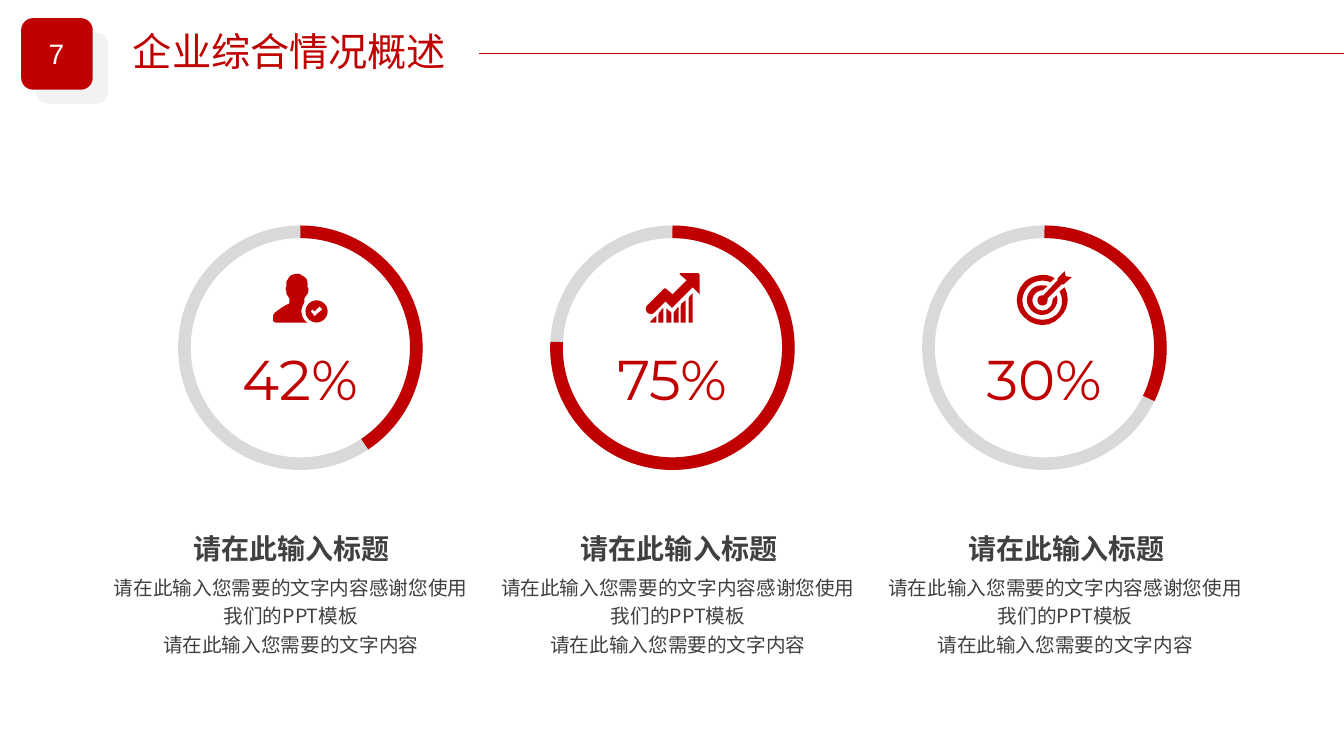
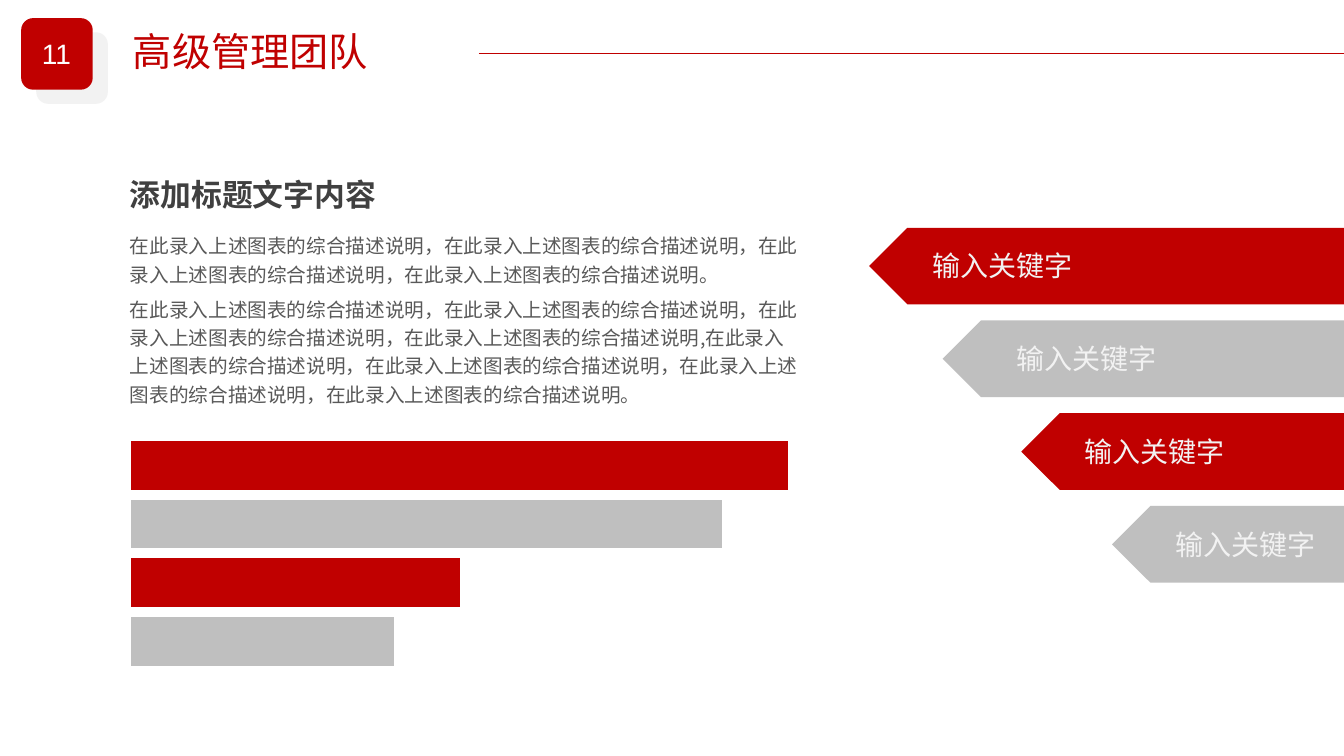
import dataclasses
import itertools

import lxml.etree
import pptx
import pptx.chart.data
import pptx.dml.color
import pptx.enum.chart
import pptx.enum.shapes
import pptx.enum.text
import pptx.oxml.ns
import pptx.util

Inches = pptx.util.Inches
Pt = pptx.util.Pt
RGB = pptx.dml.color.RGBColor
SHAPE = pptx.enum.shapes.MSO_SHAPE
ALIGN = pptx.enum.text.PP_ALIGN
qn = pptx.oxml.ns.qn


@dataclasses.dataclass(frozen=True)
class Theme:
    red: str = "C00000"
    white: str = "FFFFFF"
    pale: str = "F2F2F2"
    track: str = "D9D9D9"
    gray: str = "BFBFBF"
    dark: str = "404040"
    body: str = "595959"
    cjk: str = "Noto Sans CJK SC"
    latin: str = "Arial"
    figure: str = "Montserrat"
    figure_size: int = 40
    title_size: int = 28
    heading_size: int = 22
    label_size: int = 20
    body_size: int = 14
    chart_size: int = 10


T = Theme()


@dataclasses.dataclass(frozen=True)
class Style:
    size: int
    color: str
    font: str = T.cjk
    bold: bool = False
    align: ALIGN = ALIGN.LEFT
    wrap: bool = True
    line_spacing: float = 1.0
    space_after: int = 0


@dataclasses.dataclass(frozen=True)
class Ring:
    value: str
    end_angle: float
    icon_top: float
    icon: tuple[str, ...]


@dataclasses.dataclass(frozen=True)
class Tag:
    left: float
    text_left: float
    color: str


TITLE = Style(T.title_size, T.red, wrap=False)
NUMBER = Style(T.label_size, T.white, T.latin, align=ALIGN.CENTER, wrap=False)
FIGURE = Style(T.figure_size, T.red, T.figure, align=ALIGN.CENTER)
CAPTION = Style(T.label_size, T.dark, bold=True, align=ALIGN.CENTER, wrap=False)
CAPTION_BODY = Style(T.body_size, T.dark, align=ALIGN.CENTER, line_spacing=1.2)
HEADING = Style(T.heading_size, T.dark, bold=True)
BODY = Style(T.body_size, T.body, line_spacing=1.2, space_after=5)
KEYWORD = Style(T.label_size, T.pale)

PERSON = (
    "46 32 L 41 37 39 35 37 37 39 39 41 42 44 39 49 35",
    "43 26 C 49 26 54 31 54 37 54 43 49 48 43 48 37 48 32 43 32 37 32 31 37 26 43 26",
    "23 0 C 25 -1 27 0 28 1 30 2 31 3 31 3 31 3 35 4 34 13 35 13 35 14 35 17 "
    "34 20 33 21 33 21 32 22 32 23 31 24 L 31 28 C 29 31 28 34 28 37 28 41 30 46 34 48 "
    "L 3 48 C 1 48 0 47 0 46 L 0 42 C 0 40 1 39 2 38 8 33 14 30 16 29 L 16 24 "
    "C 15 23 15 22 14 21 14 21 13 20 13 17 12 14 12 13 13 13 13 11 13 9 13 8 "
    "14 6 15 4 16 3 16 2 17 2 18 1 19 1 20 0 21 0 21 0 22 0 23 0",
)
GROWTH = (
    "11 42 L 11 49 5 49 5 48 6 47 10 43",
    "18 35 L 18 49 13 49 13 41 14 39 17 35",
    "21 35 L 24 38 25 38 26 40 26 49 21 49",
    "33 34 L 33 49 28 49 28 40 29 38 32 34",
    "40 27 L 40 49 35 49 35 33 36 30",
    "47 20 L 47 49 43 49 43 25 44 23",
    "35 0 L 52 0 C 53 0 54 1 54 3 L 54 20 C 54 21 54 21 53 20 L 47 14 27 34 "
    "C 27 35 26 35 26 34 L 20 28 9 39 C 7 41 4 41 2 39 0 37 0 34 2 32 "
    "L 19 15 20 15 27 21 38 10 41 7 34 1 C 34 1 34 0 35 0",
)
TARGET = (
    "26 14 C 27 14 28 14 30 15 L 25 19 C 23 19 20 20 18 22 14 26 14 32 18 36 "
    "22 40 28 40 32 36 34 34 35 31 35 28 L 39 24 C 41 29 39 35 35 39 "
    "29 45 20 45 14 39 8 33 8 24 14 18 17 15 21 14 26 14",
    "22 4 C 27 3 32 4 37 7 L 33 11 C 26 8 17 9 11 15 3 23 3 35 11 43 "
    "19 50 31 50 39 43 45 37 46 28 42 20 L 47 16 C 52 26 51 38 42 46 "
    "33 56 17 56 7 46 -3 37 -3 21 7 11 11 7 16 5 22 4",
    "47 0 L 48 5 54 6 46 13 44 13 30 27 C 30 28 30 28 30 29 30 32 28 34 25 34 "
    "22 34 20 32 20 29 20 26 22 24 25 24 25 24 26 24 26 24 L 40 9 40 7",
)

RINGS = (
    Ring("42%", 33.77, 2.72, PERSON),
    Ring("75%", 109.72, 2.71, GROWTH),
    Ring("30%", 15.57, 2.69, TARGET),
)
TAGS = (
    Tag(8.62, 9.15, T.red),
    Tag(9.35, 9.98, T.gray),
    Tag(10.13, 10.66, T.red),
    Tag(11.03, 11.56, T.gray),
)
BARS = ((100, T.red), (90, T.gray), (50, T.red), (40, T.gray))
SLIDE_WIDTH = 13.33
CLAUSE = "在此录入上述图表的综合描述说明"


def add_text(s, left: float, top: float, width: float, height: float, style: Style, *lines: str):
    sp = s.shapes.add_textbox(Inches(left), Inches(top), Inches(width), Inches(height))
    tf = sp.text_frame
    tf.text = "\n".join(lines)
    tf.word_wrap = style.wrap
    tf.auto_size = pptx.enum.text.MSO_AUTO_SIZE.SHAPE_TO_FIT_TEXT
    for p in tf.paragraphs:
        p.alignment = style.align
        p.line_spacing = style.line_spacing
        p.space_after = Pt(style.space_after)
        for r in p.runs:
            r.font.size = Pt(style.size)
            r.font.bold = style.bold
            r.font.name = style.font
            r.font.color.rgb = RGB.from_string(style.color)
            ea = lxml.etree.SubElement(r.font._element, qn("a:ea"))
            ea.set("typeface", style.font)


def paint(sp, color: str):
    sp.shadow.inherit = False
    sp.fill.solid()
    sp.fill.fore_color.rgb = RGB.from_string(color)
    sp.line.fill.background()


def add_block(s, kind: SHAPE, left: float, top: float, width: float, height: float, color: str):
    sp = s.shapes.add_shape(kind, Inches(left), Inches(top), Inches(width), Inches(height))
    paint(sp, color)
    return sp


def add_arc(s, left: float, start: float, end: float, color: str):
    sp = s.shapes.add_shape(SHAPE.ARC, Inches(left), Inches(2.3), Inches(2.3), Inches(2.3))
    sp.shadow.inherit = False
    sp.adjustments[0] = start
    sp.adjustments[1] = end
    sp.fill.background()
    sp.line.color.rgb = RGB.from_string(color)
    sp.line.width = Pt(9)


def trace(outline: str, steps: int = 6) -> list[tuple[float, float]]:
    points, numbers, mode = [], [], "L"
    for token in outline.split():
        if token in "LC":
            mode = token
            continue
        numbers.append(float(token))
        if mode == "L" and len(numbers) == 2:
            points.append(tuple(numbers))
            numbers = []
        elif len(numbers) == 6:
            x0, y0 = points[-1]
            x1, y1, x2, y2, x3, y3 = numbers
            for t in (i / steps for i in range(1, steps + 1)):
                a, b, c, d = (1 - t) ** 3, 3 * t * (1 - t) ** 2, 3 * t * t * (1 - t), t ** 3
                points.append((a * x0 + b * x1 + c * x2 + d * x3,
                               a * y0 + b * y1 + c * y2 + d * y3))
            numbers = []
    return points


def add_icon(s, left: float, top: float, outlines: tuple[str, ...]):
    contours = [[(Inches(left + x / 100), Inches(top + y / 100)) for x, y in trace(outline)]
                for outline in outlines]
    builder = s.shapes.build_freeform(*contours[0][0], scale=1.0)
    for contour in contours:
        builder.move_to(*contour[0])
        builder.add_line_segments(contour[1:], close=True)
    paint(builder.convert_to_shape(), T.red)


def add_page(prs, number: str, title: str, title_width: float):
    s = prs.slides.add_slide(prs.slide_layouts[6])
    add_block(s, SHAPE.ROUNDED_RECTANGLE, 0.36, 0.32, 0.71, 0.71, T.pale)
    add_block(s, SHAPE.ROUNDED_RECTANGLE, 0.21, 0.18, 0.71, 0.71, T.red)
    rule = s.shapes.add_connector(pptx.enum.shapes.MSO_CONNECTOR.STRAIGHT,
                                  Inches(4.75), Inches(0.53), Inches(SLIDE_WIDTH), Inches(0.53))
    rule.line.color.rgb = RGB.from_string(T.red)
    rule.line.width = Pt(1.25)
    lxml.etree.SubElement(rule._element.spPr, qn("a:effectLst"))
    add_text(s, 0.29, 0.31, 0.54, 0.44, NUMBER, number)
    add_text(s, 1.22, 0.22, title_width, 0.57, TITLE, title)
    return s


def add_bars(s):
    data = pptx.chart.data.CategoryChartData()
    data.categories = ["1"]
    for i, (value, _) in enumerate(BARS, 1):
        data.add_series(f"Series {i}", [value])
    chart = s.shapes.add_chart(pptx.enum.chart.XL_CHART_TYPE.BAR_CLUSTERED, Inches(1.14),
                               Inches(4.33), Inches(8.14), Inches(2.32), data).chart
    chart.has_legend = False
    chart.has_title = False
    chart.font.name = T.latin
    chart.font.size = Pt(T.chart_size)
    chart.font.bold = True
    chart.font.color.rgb = RGB.from_string(T.body)
    chart.category_axis.visible = False
    chart.category_axis.reverse_order = True
    chart.value_axis.visible = False
    chart.value_axis.has_major_gridlines = False
    chart.value_axis.minimum_scale = 0
    chart.value_axis.maximum_scale = 120
    plot = chart.plots[0]
    plot.vary_by_categories = False
    plot.gap_width = 0
    plot.overlap = -20
    for series, (_, color) in zip(plot.series, BARS):
        series.format.fill.solid()
        series.format.fill.fore_color.rgb = RGB.from_string(color)


def add_overview(prs):
    s = add_page(prs, "7", "企业综合情况概述", 3.34)
    for i, ring in enumerate(RINGS):
        left, text_left = 1.83 + 3.69 * i, 1.03 + 3.84 * i
        add_arc(s, left, 214.97, 172.62, T.track)
        add_arc(s, left, 162, ring.end_angle, T.red)
        add_text(s, left, 3.37, 2.29, 0.77, FIGURE, ring.value)
        add_icon(s, left + 0.88, ring.icon_top, ring.icon)
        add_text(s, text_left + 0.78, 5.22, 2.17, 0.44, CAPTION, "请在此输入标题")
        add_text(s, text_left, 5.62, 3.71, 0.93, CAPTION_BODY,
                 "请在此输入您需要的文字内容感谢您使用我们的PPT模板", "请在此输入您需要的文字内容")


def add_team(prs):
    s = add_page(prs, "11", "高级管理团队", 2.56)
    for tag, top in zip(TAGS, itertools.count(2.26, 0.92)):
        sp = add_block(s, SHAPE.PENTAGON, tag.left, top, SLIDE_WIDTH - tag.left, 0.76, tag.color)
        sp._element.spPr.xfrm.set("flipH", "1")
        add_text(s, tag.text_left, top + 0.16, 1.77, 0.44, KEYWORD, "输入关键字")
    add_bars(s)
    add_text(s, 1.19, 1.69, 3.29, 0.47, HEADING, "添加标题文字内容")
    four_clauses = "，".join([CLAUSE] * 4)
    add_text(s, 1.19, 2.23, 6.84, 1.84, BODY,
             f"{four_clauses}。", f"{four_clauses},{four_clauses}。")


def main():
    prs = pptx.Presentation()
    prs.slide_width = Inches(SLIDE_WIDTH)
    prs.slide_height = Inches(7.5)
    add_overview(prs)
    add_team(prs)
    prs.save("out.pptx")


if __name__ == "__main__":
    main()
